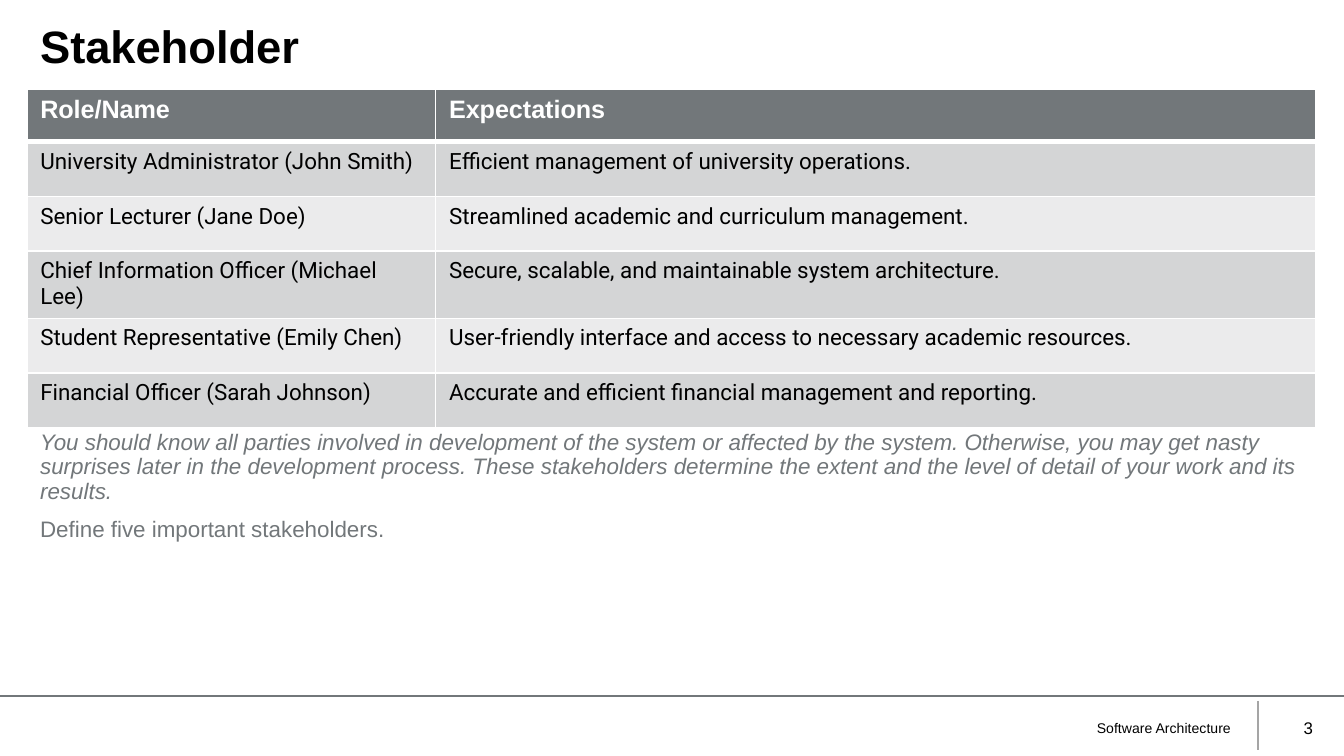
from dataclasses import dataclass

from lxml.etree import SubElement
from pptx import Presentation
from pptx.dml.color import RGBColor
from pptx.enum.shapes import MSO_CONNECTOR
from pptx.enum.text import MSO_ANCHOR, PP_ALIGN
from pptx.oxml import parse_xml
from pptx.oxml.ns import nsdecls, qn
from pptx.util import Pt


@dataclass(frozen=True)
class Theme:
    black: str = "000000"
    white: str = "FFFFFF"
    gray: str = "72777A"
    divider: str = "A5A5A5"
    bands: tuple = ("D4D5D6", "EBEBEC")
    font: str = "Arial"
    table_font: str = "Roboto"
    title_size: float = 24.3
    header_size: float = 13.5
    body_size: float = 12
    number_size: float = 9
    footer_size: float = 7.5


THEME = Theme()

STAKEHOLDERS = [
    ("Role/Name", "Expectations"),
    ("University Administrator (John Smith)", "Efficient management of university operations."),
    ("Senior Lecturer (Jane Doe)", "Streamlined academic and curriculum management."),
    ("Chief Information Officer (Michael Lee)",
     "Secure, scalable, and maintainable system architecture."),
    ("Student Representative (Emily Chen)",
     "User-friendly interface and access to necessary academic resources."),
    ("Financial Officer (Sarah Johnson)",
     "Accurate and efficient financial management and reporting."),
]
GUIDANCE = (
    "You should know all parties involved in development of the system or affected by the "
    "system. Otherwise, you may get nasty surprises later in the development process. These "
    "stakeholders determine the extent and the level of detail of your work and its results."
)
TASK = "Define five important stakeholders."


def style_paragraph(paragraph, size, color, font=THEME.font, bold=False, italic=False):
    paragraph.font.name = font
    paragraph.font.size = Pt(size)
    paragraph.font.bold = bold
    paragraph.font.italic = italic
    paragraph.font.color.rgb = RGBColor.from_string(color)


def add_text_frame(slide, left, top, width, height, anchor=MSO_ANCHOR.TOP):
    text_box = slide.shapes.add_textbox(Pt(left), Pt(top), Pt(width), Pt(height))
    text_frame = text_box.text_frame
    text_frame.word_wrap = True
    text_frame.vertical_anchor = anchor
    return text_frame


def add_rule(slide, start_x, start_y, end_x, end_y, color):
    rule = slide.shapes.add_connector(
        MSO_CONNECTOR.STRAIGHT, Pt(start_x), Pt(start_y), Pt(end_x), Pt(end_y))
    rule.line.color.rgb = RGBColor.from_string(color)
    rule.line.width = Pt(1)
    SubElement(rule._element.spPr, qn("a:effectLst"))


def set_borders(cell, top, bottom):
    properties = cell._tc.get_or_add_tcPr()
    widths = {"lnL": 1, "lnR": 1, "lnT": top, "lnB": bottom}
    for index, (tag, width) in enumerate(widths.items()):
        properties.insert(index, parse_xml(
            f'<a:{tag} {nsdecls("a")} w="{Pt(width)}"><a:solidFill>'
            f'<a:srgbClr val="{THEME.white}"/></a:solidFill></a:{tag}>'))


def add_title(slide, left, top, width, height):
    paragraph = add_text_frame(slide, left, top, width, height).paragraphs[0]
    paragraph.text = "Stakeholder"
    paragraph.line_spacing = 0.9
    style_paragraph(paragraph, THEME.title_size, THEME.black, bold=True)


def add_stakeholder_table(slide, left, top, width, height):
    table = slide.shapes.add_table(
        len(STAKEHOLDERS), 2, Pt(left), Pt(top), Pt(width), Pt(height)).table
    role_width = 219
    header_height = 28
    table.columns[0].width = Pt(role_width)
    table.columns[1].width = Pt(width - role_width)
    row_height = (height - header_height) / (len(STAKEHOLDERS) - 1)
    for row_index, texts in enumerate(STAKEHOLDERS):
        is_header = row_index == 0
        table.rows[row_index].height = Pt(header_height if is_header else row_height)
        fill = THEME.gray if is_header else THEME.bands[(row_index - 1) % 2]
        for column_index, text in enumerate(texts):
            cell = table.cell(row_index, column_index)
            cell.fill.solid()
            cell.fill.fore_color.rgb = RGBColor.from_string(fill)
            set_borders(cell, 3 if row_index == 1 else 1, 3 if is_header else 1)
            paragraph = cell.text_frame.paragraphs[0]
            paragraph.text = text
            if is_header:
                style_paragraph(paragraph, THEME.header_size, THEME.white, bold=True)
            else:
                style_paragraph(paragraph, THEME.body_size, THEME.black, THEME.table_font)


def add_guidance(slide, left, top, width, height):
    text_frame = add_text_frame(slide, left, top, width, height)
    guidance = text_frame.paragraphs[0]
    task = text_frame.add_paragraph()
    task.space_before = Pt(7.5)
    for paragraph, text in ((guidance, GUIDANCE), (task, TASK)):
        paragraph.text = text
        paragraph.line_spacing = 0.9
        style_paragraph(paragraph, THEME.body_size, THEME.gray, italic=paragraph is guidance)


def add_footer(slide, left, top, width, height):
    add_rule(slide, left, top, left + width, top, THEME.gray)
    divider_x = left + width - 46
    add_rule(slide, divider_x, top + 2.5, divider_x, top + height - 3, THEME.divider)
    labels = (
        ("Software Architecture", 219.5, 447, THEME.footer_size),
        ("3", 672.5, 38, THEME.number_size),
    )
    for text, offset, label_width, size in labels:
        text_frame = add_text_frame(
            slide, left + offset, top + 6, label_width, 21.5, MSO_ANCHOR.MIDDLE)
        paragraph = text_frame.paragraphs[0]
        paragraph.text = text
        paragraph.alignment = PP_ALIGN.RIGHT
        style_paragraph(paragraph, size, THEME.black)


def main():
    presentation = Presentation()
    presentation.slide_width = Pt(720)
    presentation.slide_height = Pt(405)
    slide = presentation.slides.add_slide(presentation.slide_layouts[6])
    add_footer(slide, 0, 373, 720, 32)
    add_title(slide, 14.4, 9.5, 691, 34.5)
    add_guidance(slide, 14.4, 227.5, 691, 139.5)
    add_stakeholder_table(slide, 14.4, 48, 690.5, 174.5)
    presentation.save("out.pptx")


if __name__ == "__main__":
    main()
